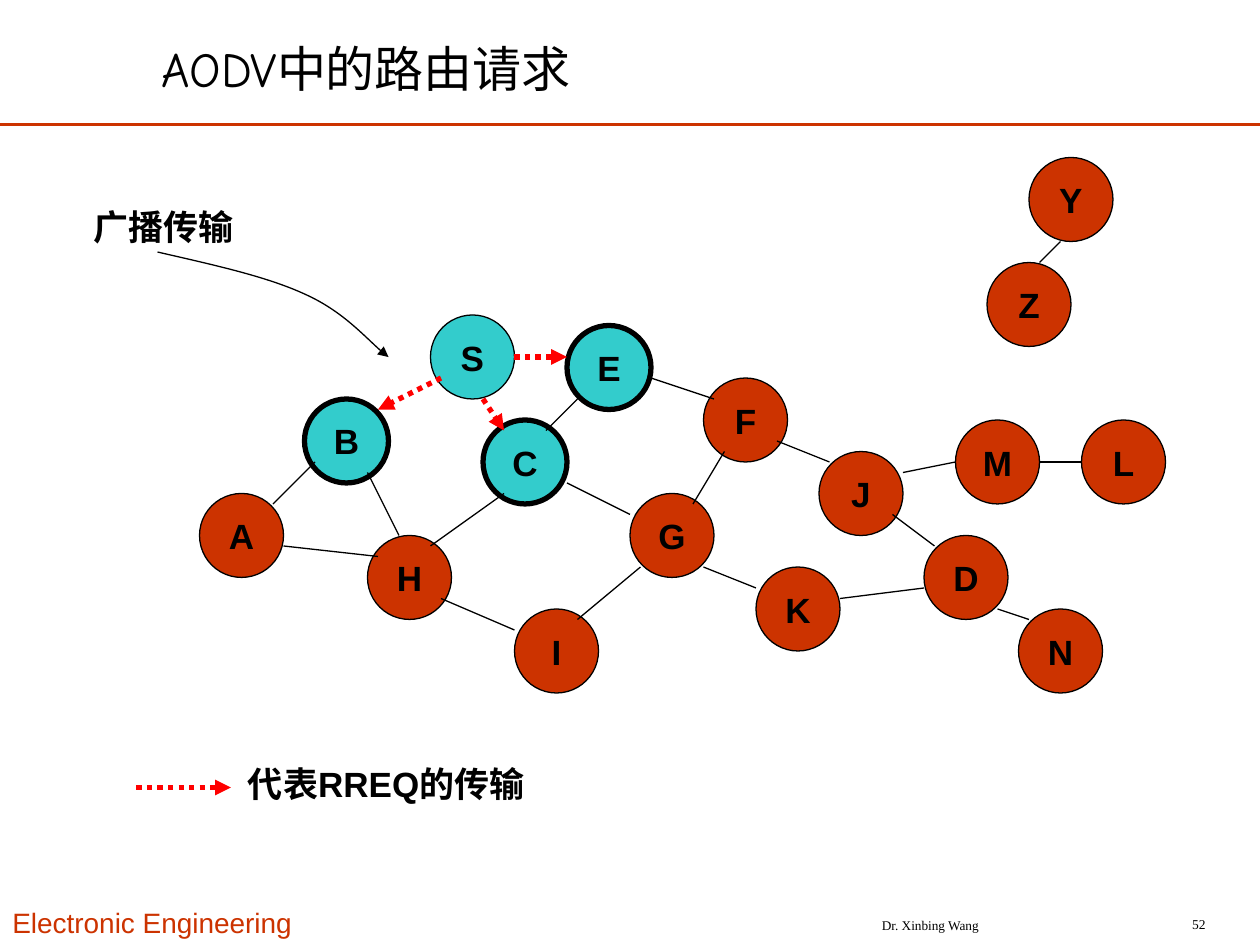
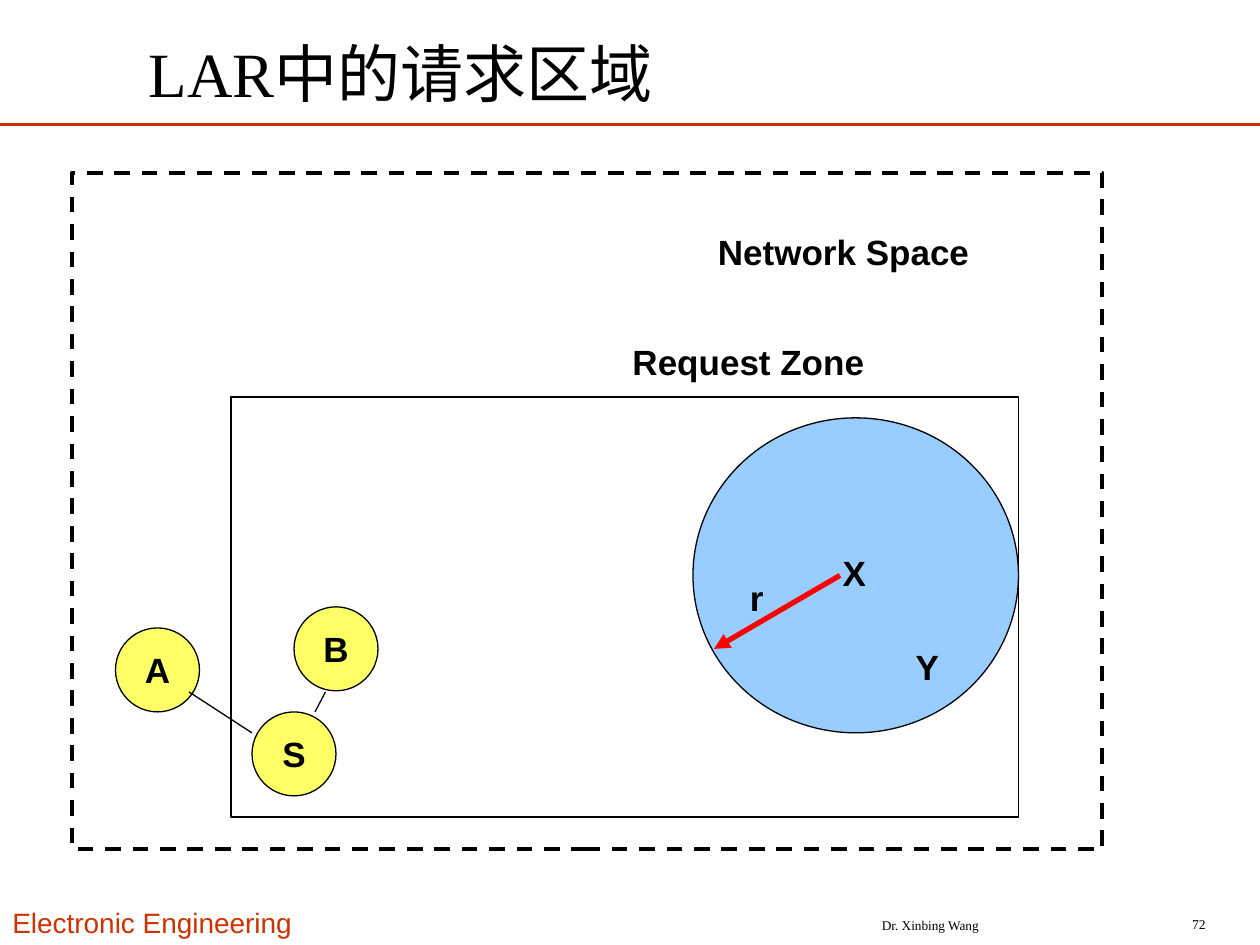
"""Two slides on ad hoc routing: AODV route requests and the LAR request zone."""
from lxml.etree import SubElement
from pptx import Presentation
from pptx.dml.color import RGBColor
from pptx.enum.dml import MSO_LINE
from pptx.enum.shapes import MSO_CONNECTOR, MSO_SHAPE
from pptx.enum.text import MSO_ANCHOR, MSO_AUTO_SIZE, PP_ALIGN
from pptx.oxml.ns import qn
from pptx.util import Cm, Pt

BLACK, RED = "000000", "FF0000"
RUST, TEAL, YELLOW, SKY = "CC3300", "33CCCC", "FFFF66", "99CCFF"
SANS, SERIF, COMIC = "Arial", "Times New Roman", "Comic Neue"
GRID_PER_INCH = 12
NODE_SIZE = 8
LABEL_HEIGHT = 5.28
TITLE_ONLY = 5

AODV_NODES = {
    "B": (29, 38), "A": (19, 47), "S": (41, 30), "E": (54, 31),
    "F": (67, 36), "H": (35, 51), "J": (78, 43), "D": (88, 51),
    "C": (46, 40), "G": (60, 47), "I": (49, 58), "K": (72, 54),
    "Z": (94, 25), "Y": (98, 15), "M": (91, 40), "N": (97, 58),
    "L": (103, 40),
}
REACHED = "SBEC"
REBROADCASTING = "BEC"
AODV_LINKS = [
    (26, 48, 30, 44), (27, 52, 36, 53), (35, 45, 38, 51),
    (48, 47, 41, 52), (55, 38, 52, 41), (62, 36, 68, 38),
    (69, 43, 66, 48), (61, 54, 55, 59), (54, 46, 60, 49),
    (42, 57, 49, 60), (74, 42, 79, 44), (67, 54, 72, 56),
    (85, 49, 89, 52), (88, 56, 80, 57), (101, 23, 99, 25),
    (86, 45, 91, 44), (95, 58, 98, 59), (99, 44, 103, 44),
]
RREQ_ARROWS = [(42, 36, 36, 39), (49, 34, 54, 34), (46, 38, 48, 41),
               (13, 75, 22, 75)]
BROADCAST_CURVE = [(15, 24), (20.2, 25.2), (25.3, 26.3), (29, 28),
                   (32.6, 29.6), (35.5, 32.9), (37, 34)]
LAR_NODES = {"S": (24, 67.8), "B": (28, 57.8), "A": (11, 59.8)}
LAR_LINKS = [(18, 65.9, 24, 69.8), (31, 65.9, 30, 67.8)]


def grid(*steps):
    """Turn grid steps into a list of lengths."""
    return [Cm(2.54 * step / GRID_PER_INCH) for step in steps]


def color(hex_code):
    """Turn a hex string into a colour."""
    return RGBColor.from_string(hex_code)


def write(frame, text, size=20, font=SANS, ink=BLACK, bold=True,
          align=PP_ALIGN.CENTER, anchor=MSO_ANCHOR.MIDDLE, wrap=False):
    """Put one formatted paragraph in a text frame."""
    frame.text = text
    frame.auto_size = MSO_AUTO_SIZE.NONE
    frame.word_wrap = wrap
    frame.vertical_anchor = anchor
    paragraph = frame.paragraphs[0]
    paragraph.alignment = align
    style = paragraph.runs[0].font
    style.size, style.name, style.bold = Pt(size), font, bold
    style.color.rgb = color(ink)


def add_label(slide, text, x, y, width, height=LABEL_HEIGHT, **style):
    """Add a text box placed in grid steps."""
    box = slide.shapes.add_textbox(*grid(x, y, width, height))
    write(box.text_frame, text, **style)


def draw_line(line, ink=BLACK, weight=0.75, dash=None, arrow=False):
    """Format a line, with an arrowhead at its end if asked."""
    line.color.rgb = color(ink)
    line.width = Pt(weight)
    if dash:
        line.dash_style = dash
    if arrow:
        SubElement(line._get_or_add_ln(), qn("a:tailEnd"), type="triangle")


def add_link(slide, x1, y1, x2, y2, **style):
    """Add a straight connector between two grid points."""
    link = slide.shapes.add_connector(MSO_CONNECTOR.STRAIGHT,
                                      *grid(x1, y1, x2, y2))
    draw_line(link.line, **style)
    SubElement(link._element.spPr, qn("a:effectLst"))


def add_region(slide, kind, x, y, width, height, fill=None, **style):
    """Add a preset shape, hollow unless a fill is given."""
    region = slide.shapes.add_shape(kind, *grid(x, y, width, height))
    region.shadow.inherit = False
    if fill:
        region.fill.solid()
        region.fill.fore_color.rgb = color(fill)
    else:
        region.fill.background()
    draw_line(region.line, **style)
    return region


def add_node(slide, name, x, y, fill, **style):
    """Add a round network node with its letter."""
    node = add_region(slide, MSO_SHAPE.OVAL, x, y, NODE_SIZE, NODE_SIZE,
                      fill, **style)
    write(node.text_frame, name)


def add_curve(slide, points, **style):
    """Add an open curve through cubic Bezier points."""
    start, *rest = [grid(*point) for point in points]
    builder = slide.shapes.build_freeform(*start)
    builder.add_line_segments(rest, close=False)
    curve = builder.convert_to_shape()
    curve.shadow.inherit = False
    curve.fill.background()
    draw_line(curve.line, **style)
    outline = next(curve._element.iter(qn("a:path")))
    segments = outline.findall(qn("a:lnTo"))
    for first in range(0, len(segments), 3):
        bezier = SubElement(outline, qn("a:cubicBezTo"))
        for segment in segments[first:first + 3]:
            bezier.append(segment[0])
            outline.remove(segment)


def add_page(deck, title, number, place, size, font):
    """Add a slide with its title, rule and footers."""
    slide = deck.slides.add_slide(deck.slide_layouts[TITLE_ONLY])
    heading = slide.shapes.title
    heading.left, heading.top, heading.width, heading.height = grid(*place)
    write(heading.text_frame, title, size=size, font=font, bold=False,
          align=PP_ALIGN.LEFT, wrap=True)
    add_link(slide, 0, 11.88, 120, 11.88, ink=RUST, weight=1.5)
    add_label(slide, "Electronic Engineering", 0, 85.7, 30.6, 4.3, size=16,
              ink=RUST, bold=False, align=PP_ALIGN.LEFT)
    add_label(slide, "Dr. Xinbing Wang", 74, 86.64, 29.2, 3, size=7.6,
              font=SERIF, bold=False, wrap=True)
    add_label(slide, number, 106, 86.52, 10, 3, size=7.7, font=SERIF,
              bold=False, align=PP_ALIGN.RIGHT, wrap=True)
    return slide


def add_aodv_slide(deck):
    """Build the slide on route requests in AODV."""
    slide = add_page(deck, "AODV中的路由请求", "52", (14.16, 3, 85.8, 6.84),
                     28, COMIC)
    for name, (x, y) in AODV_NODES.items():
        add_node(slide, name, x, y, TEAL if name in REACHED else RUST,
                 weight=3 if name in REBROADCASTING else 0.75)
    for ends in AODV_LINKS:
        add_link(slide, *ends)
    for ends in RREQ_ARROWS:
        add_link(slide, *ends, ink=RED, weight=3, dash=MSO_LINE.ROUND_DOT,
                 arrow=True)
    add_label(slide, "代表RREQ的传输", 22.44, 72, 30.36,
              align=PP_ALIGN.LEFT)
    add_label(slide, "广播传输", 7.68, 18.96, 15.72)
    add_curve(slide, BROADCAST_CURVE, arrow=True)


def add_lar_slide(deck):
    """Build the slide on the request zone in LAR."""
    slide = add_page(deck, "LAR中的请求区域", "72", (12.96, 5.64, 79.6, 2.52),
                     36, SERIF)
    add_region(slide, MSO_SHAPE.OVAL, 66, 39.8, 31, 30, SKY)
    add_label(slide, "X", 79.08, 51.84, 4.56)
    add_label(slide, "Y", 86.04, 60.84, 4.56)
    add_link(slide, 80, 54.8, 68, 61.8, ink=RED, weight=3, arrow=True)
    add_label(slide, "r", 70.2, 54.24, 3.72)
    for name, (x, y) in LAR_NODES.items():
        add_node(slide, name, x, y, YELLOW)
    add_region(slide, MSO_SHAPE.RECTANGLE, 22, 37.8, 75, 40)
    add_label(slide, "Request Zone", 59.04, 31.8, 24.48)
    add_region(slide, MSO_SHAPE.RECTANGLE, 6.84, 16.44, 98.16, 64.44,
               weight=2.25, dash=MSO_LINE.DASH)
    add_label(slide, "Network Space", 67.2, 21.36, 26.28)
    for ends in LAR_LINKS:
        add_link(slide, *ends)


def main():
    """Build and save the deck."""
    deck = Presentation()
    deck.slide_width, deck.slide_height = Cm(25.4), Cm(19.05)
    add_aodv_slide(deck)
    add_lar_slide(deck)
    deck.save("out.pptx")


if __name__ == "__main__":
    main()
